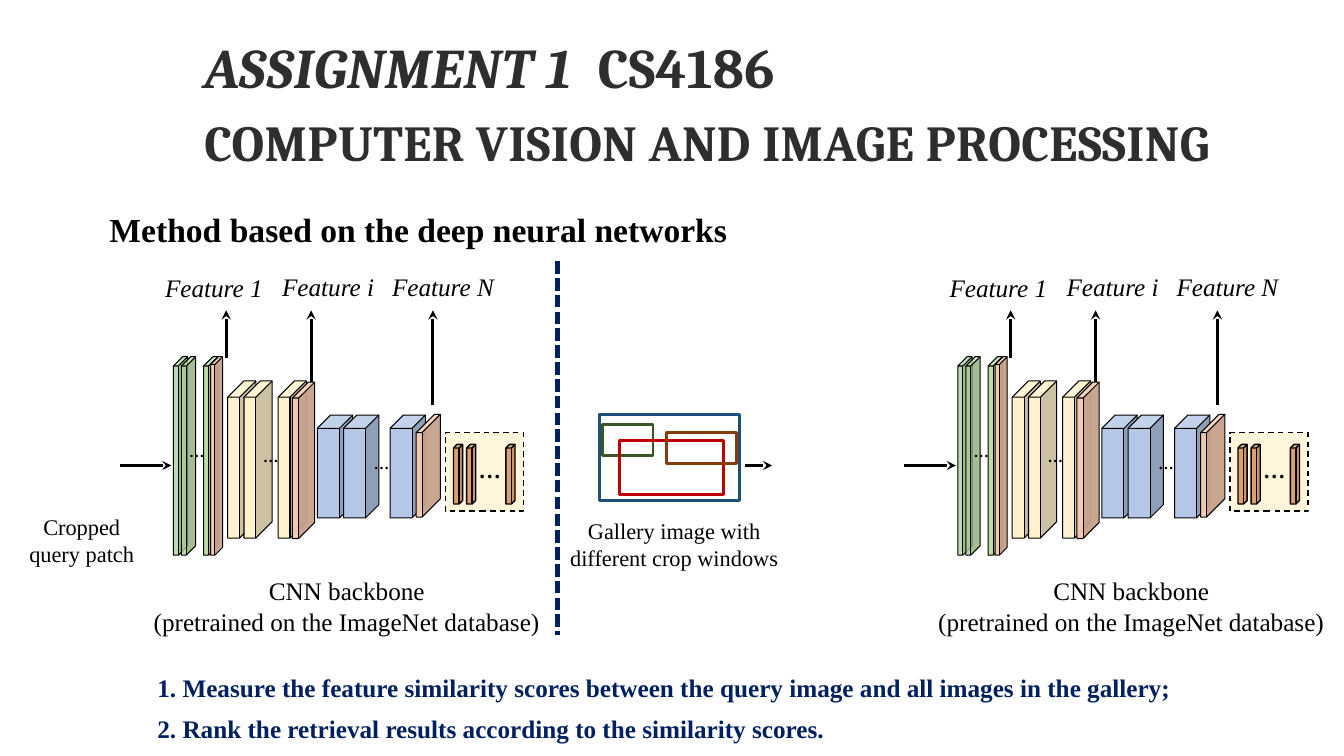
"""Build the slide on image retrieval with deep neural network features."""
import pptx
import pptx.util
import pptx.dml.color
import pptx.enum.dml
import pptx.enum.shapes
import pptx.enum.text
import pptx.oxml.ns
from lxml import etree

Cm, Pt = pptx.util.Cm, pptx.util.Pt
RGB = pptx.dml.color.RGBColor
SHAPE = pptx.enum.shapes.MSO_SHAPE
DASH = pptx.enum.dml.MSO_LINE
LEFT = pptx.enum.text.PP_ALIGN.LEFT
CENTER = pptx.enum.text.PP_ALIGN.CENTER
qn = pptx.oxml.ns.qn

BLACK, INK, NAVY = RGB(0, 0, 0), RGB(0x2E, 0x2E, 0x2E), RGB(0, 0x20, 0x60)
GREEN, YELLOW = RGB(0xA9, 0xD1, 0x8E), RGB(0xFF, 0xF2, 0xCC)
BLUE, PEACH = RGB(0xB4, 0xC7, 0xE7), RGB(0xF8, 0xCB, 0xAD)
RUST = RGB(0xC5, 0x5A, 0x11)
MOSS, RED = RGB(0x38, 0x57, 0x23), RGB(0xC0, 0, 0)
BROWN, STEEL = RGB(0x84, 0x3C, 0x0B), RGB(0x1F, 0x4E, 0x79)

TITLE = [
    [("ASSIGNMENT 1\t", 40, True), ("CS4186", 40, False)],
    [("COMPUTER VISION AND IMAGE PROCESSING", 36, False)],
]
TITLE_BOX, TITLE_TAB = (4.9, 0.89, 28.93, 3.61), 9.92

BODY = {"size": Pt(18), "name": "Times New Roman"}
BOLD, ITALIC = {**BODY, "bold": True}, {**BODY, "italic": True}
HEADING = {**BOLD, "size": Pt(24)}
CAPTION = {**BODY, "size": Pt(16)}

# fmt: off
TEXTS = [
    (["Method based on the deep neural networks"], (2.51, 5.13, 16.46, 1.27), HEADING, BLACK, LEFT),
    (["Cropped", "query patch"], (0.46, 12.8, 3.2, 1.63), CAPTION, BLACK, CENTER),
    (["Gallery image with", "different crop windows"], (14.07, 12.9, 5.84, 1.63), CAPTION, BLACK, CENTER),
    (["1. Measure the feature similarity scores between the query image and all images in the gallery;"],
     (3.58, 16.81, 26.31, 1.02), BOLD, NAVY, CENTER),
    (["2. Rank the retrieval results according to the similarity scores."],
     (3.63, 17.86, 17.48, 1.02), BOLD, NAVY, CENTER),
]
CROP_WINDOWS = [
    (MOSS, (15.19, 10.69, 1.27, 0.79)),
    (RED, (15.62, 11.1, 2.62, 1.37)),
    (BROWN, (16.79, 10.9, 1.78, 0.79)),
    (STEEL, (15.11, 10.44, 3.53, 2.18)),
]
GALLERY_ARROW = (18.77, 11.73, 19.46, 11.73)
DIVIDER = (14.05, 6.58, 14.05, 16.0)

BACKBONE_OFFSETS = (0, 19.77)
LAYERS = [
    {"lefts": (4.37, 4.57, 5.13), "box": (8.99, 0.36, 5.0), "adj": 0.65, "color": GREEN, "opacity": 75},
    {"lefts": (5.31,), "box": (8.99, 0.3, 5.0), "adj": 0.65, "color": PEACH, "opacity": 95},
    {"lefts": (5.74, 6.15, 7.01), "box": (9.6, 0.71, 3.96), "adj": 0.578, "color": YELLOW, "opacity": 100},
    {"lefts": (7.37,), "box": (9.63, 0.56, 3.94), "adj": 0.716, "color": PEACH, "opacity": 95},
    {"lefts": (8.0, 8.66, 9.83), "box": (10.46, 0.89, 2.59), "adj": 0.375, "color": BLUE, "opacity": 100},
    {"lefts": (10.49,), "box": (10.44, 0.61, 2.59), "adj": 0.758, "color": PEACH, "opacity": 95},
    {"lefts": (11.43, 11.76, 12.75), "box": (11.2, 0.23, 1.5), "adj": 0.391, "color": RUST, "opacity": 55,
     "weight": 1},
]
VECTOR_FRAME = (11.23, 10.9, 1.96, 1.98)
ELLIPSES = [(4.52, 11.02, 11), (6.38, 11.15, 11), (9.17, 11.33, 11), (11.81, 11.38, 16)]
BACKBONE_LABEL = ["CNN backbone", "(pretrained on the ImageNet database)"]
BACKBONE_BOX = (3.48, 14.38, 10.52, 1.8)
INPUT_ARROW = (3.02, 11.73, 4.32, 11.73)
FEATURE_TOP = 7.82
FEATURES = [
    ("Feature 1", (3.91, 6.73, 3.0, 1.02), 5.7, 9.02),
    ("Feature i", (6.86, 6.71, 2.87, 1.02), 7.84, 9.63),
    ("Feature N", (9.63, 6.71, 3.1, 1.02), 10.91, 10.21),
]
# fmt: on


def shift(box, dx):
    return (box[0] + dx, *box[1:])


def style_font(font, values, color):
    for key, value in values.items():
        setattr(font, key, value)
    font.color.rgb = color


def add_text(s, lines, box, values, color, align, wrap=False):
    tf = s.shapes.add_textbox(*map(Cm, box)).text_frame
    tf.word_wrap = wrap
    for i, line in enumerate(lines):
        p = tf.paragraphs[0] if i == 0 else tf.add_paragraph()
        p.alignment = align
        r = p.add_run()
        r.text = line
        style_font(r.font, values, color)


def add_block(s, kind, box, line, weight, fill=None, opacity=100):
    sp = s.shapes.add_shape(kind, *map(Cm, box))
    sp.shadow.inherit = False
    sp.line.color.rgb = line
    sp.line.width = Pt(weight)
    if fill is None:
        sp.fill.background()
    else:
        sp.fill.solid()
        sp.fill.fore_color.rgb = fill
        if opacity < 100:
            clr = sp._element.spPr.find(qn("a:solidFill"))[0]
            etree.SubElement(clr, qn("a:alpha"), val=str(opacity * 1000))
    return sp


def add_line(s, ends, color=BLACK, weight=2.25, dash=None):
    straight = pptx.enum.shapes.MSO_CONNECTOR.STRAIGHT
    sp = s.shapes.add_connector(straight, *map(Cm, ends))
    sp.line.color.rgb = color
    sp.line.width = Pt(weight)
    if dash:
        sp.line.dash_style = dash
    else:
        ln = sp._element.spPr.find(qn("a:ln"))
        etree.SubElement(ln, qn("a:tailEnd"), type="stealth")
    etree.SubElement(sp._element.spPr, qn("a:effectLst"))


def add_backbone(s, dx):
    frame = add_block(s, SHAPE.RECTANGLE, shift(VECTOR_FRAME, dx), BLACK, 1, YELLOW, 70)
    frame.line.dash_style = DASH.DASH
    for layer in LAYERS:
        top, width, height = layer["box"]
        for left in layer["lefts"]:
            sp = add_block(s, SHAPE.CUBE, (left + dx, top, width, height), BLACK,
                           layer.get("weight", 0.75), layer["color"], layer["opacity"])
            sp.adjustments[0] = layer["adj"]
    for left, top, size in ELLIPSES:
        add_text(s, ["…"], (left + dx, top, 1.17, 0.74), {**BOLD, "size": Pt(size)}, BLACK, LEFT, True)
    add_text(s, BACKBONE_LABEL, shift(BACKBONE_BOX, dx), BODY, BLACK, CENTER)
    x1, y1, x2, y2 = INPUT_ARROW
    add_line(s, (x1 + dx, y1, x2 + dx, y2))
    for label, box, x, bottom in FEATURES:
        add_line(s, (x + dx, bottom, x + dx, FEATURE_TOP))
        add_text(s, [label], shift(box, dx), ITALIC, BLACK, LEFT)


def add_title(s):
    tf = s.shapes.add_textbox(*map(Cm, TITLE_BOX)).text_frame
    tf.word_wrap = True
    for i, runs in enumerate(TITLE):
        p = tf.paragraphs[0] if i == 0 else tf.add_paragraph()
        p.line_spacing = 0.9
        if i:
            p.space_before = Pt(12)
        else:
            tabs = etree.SubElement(p._p.get_or_add_pPr(), qn("a:tabLst"))
            etree.SubElement(tabs, qn("a:tab"), pos=str(Cm(TITLE_TAB)), algn="l")
        for text, size, italic in runs:
            r = p.add_run()
            r.text = text
            values = {"name": "Cambria", "size": Pt(size), "bold": True, "italic": italic}
            style_font(r.font, values, INK)
            r._r.get_or_add_rPr().set("spc", "30")


def main():
    prs = pptx.Presentation()
    prs.slide_width, prs.slide_height = Cm(33.87), Cm(19.05)
    s = prs.slides.add_slide(prs.slide_layouts[6])
    add_title(s)
    for dx in BACKBONE_OFFSETS:
        add_backbone(s, dx)
    for color, box in CROP_WINDOWS:
        add_block(s, SHAPE.RECTANGLE, box, color, 2)
    add_line(s, GALLERY_ARROW)
    for text in TEXTS:
        add_text(s, *text)
    add_line(s, DIVIDER, NAVY, 3, DASH.SQUARE_DOT)
    prs.save("out.pptx")


if __name__ == "__main__":
    main()
